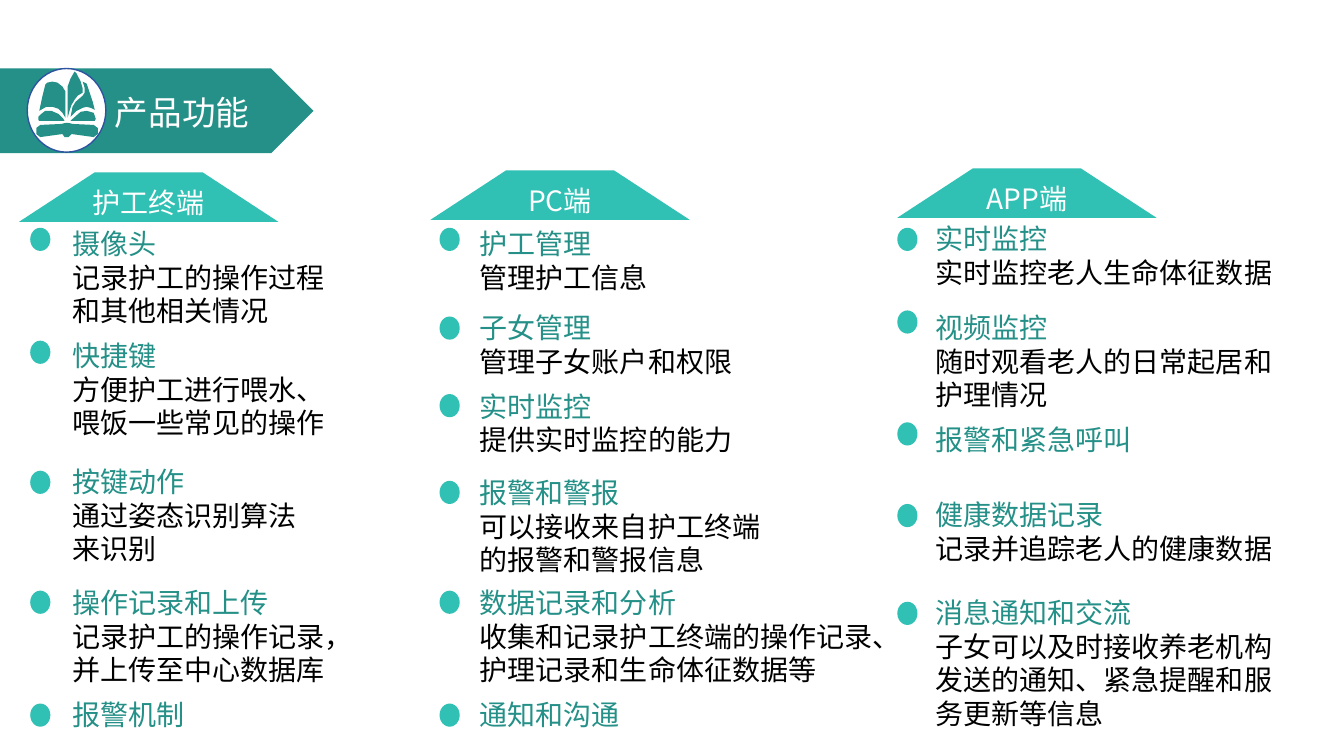
import math

import lxml.etree
import pptx
import pptx.dml.color
import pptx.enum.shapes
import pptx.enum.text
import pptx.oxml.ns
import pptx.util

PX = 9144  # EMU per px, 100 px to the inch
FONT = "Noto Sans CJK JP"
DARK, LIGHT, WHITE, BLACK, BLUE = "249087", "30C0B4", "FFFFFF", "000000", "2E54A1"
SHAPES = pptx.enum.shapes.MSO_SHAPE

FIRST_LINE, NEXT_LINE = 44, 34
ENTRY_WIDTH, LINE_CHARACTERS = 444, 15

# Outlines of the open book, in px
BOOK = [
    # left page, middle leaf, right page
    [(65, 91), (65, 117), (62, 112), (58, 108), (52, 106), (46, 106), (39, 110),
     (42, 96), (45, 84), (47, 82), (52, 81), (57, 82), (62, 86)],
    [(74, 99), (71, 104), (69, 110), (67, 117), (67, 86), (70, 78), (74, 71),
     (76, 73), (80, 81), (82, 88), (82, 92), (77, 95)],
    [(94, 109), (90, 107), (86, 106), (82, 107), (76, 110), (70, 116), (72, 106),
     (75, 101), (82, 95), (84, 92), (84, 87), (82, 81), (86, 83), (92, 101)],
    # lower pages
    [(63, 118), (58, 113), (51, 110), (45, 110), (41, 113), (38, 116), (38, 119),
     (39, 120), (64, 120)],
    [(93, 112), (86, 110), (80, 111), (72, 118), (70, 120), (94, 120), (95, 118)],
    # cover
    [(40, 124), (61, 123), (65, 122), (68, 122), (72, 123), (93, 124), (97, 127),
     (97, 133), (93, 136), (71, 133), (68, 136), (64, 136), (62, 133), (40, 136),
     (36, 133), (36, 127)],
]

# Column: heading, heading left and top, bullet left, text left,
# then entries of bullet top, text top and lines
COLUMNS = [
    ("护工终端", 19, 171, 30, 62, [
        (226, 220, ["摄像头", "记录护工的操作过程", "和其他相关情况"]),
        (338, 331, ["快捷键", "方便护工进行喂水、", "喂饭一些常见的操作"]),
        (467, 456, ["按键动作", "通过姿态识别算法", "来识别"]),
        (586, 576, ["操作记录和上传", "记录护工的操作记录，", "并上传至中心数据库"]),
        (698, 687, ["报警机制"]),
    ]),
    ("PC端", 427, 169, 436, 466, [
        (226, 220, ["护工管理", "管理护工信息"]),
        (314, 303, ["子女管理", "管理子女账户和权限"]),
        (391, 381, ["实时监控", "提供实时监控的能力"]),
        (477, 467, ["报警和警报", "可以接收来自护工终端", "的报警和警报信息"]),
        (586, 576, ["数据记录和分析", "收集和记录护工终端的操作记录、护理记录和生命体征数据等"]),
        (698, 687, ["通知和沟通"]),
    ]),
    ("APP端", 890, 167, 890, 918, [
        (226, 215, ["实时监控", "实时监控老人生命体征数据"]),
        (308, 303, ["视频监控", "随时观看老人的日常起居和", "护理情况"]),
        (419, 414, ["报警和紧急呼叫"]),
        (500, 489, ["健康数据记录", "记录并追踪老人的健康数据"]),
        (597, 586, ["消息通知和交流", "子女可以及时接收养老机构", "发送的通知、紧急提醒和服", "务更新等信息"]),
    ]),
]


def px(*lengths):
    return [pptx.util.Emu(length * PX) for length in lengths]


def rgb(color):
    return pptx.dml.color.RGBColor.from_string(color)


def paint(shape, fill, line=None):
    shape.shadow.inherit = False
    shape.fill.solid()
    shape.fill.fore_color.rgb = rgb(fill)
    if line:
        shape.line.color.rgb = rgb(line)
        shape.line.width = pptx.util.Pt(1)
    else:
        shape.line.fill.background()


def style(paragraph, size, color):
    for span in paragraph.runs:
        span.font.size = pptx.util.Pt(size)
        span.font.color.rgb = rgb(color)
        span.font.name = FONT
        east_asian = lxml.etree.SubElement(span.font._element, pptx.oxml.ns.qn("a:ea"))
        east_asian.set("typeface", FONT)


def add_preset(page, kind, left, top, width, height, fill, line=None):
    shape = page.shapes.add_shape(kind, *px(left, top, width, height))
    paint(shape, fill, line)
    return shape


def add_outline(page, points):
    builder = page.shapes.build_freeform(*points[0], scale=PX)
    builder.add_line_segments(points[1:], close=True)
    paint(builder.convert_to_shape(), DARK)


def add_text(page, left, top, width, height, lines, size, colors):
    box = page.shapes.add_textbox(*px(left, top, width, height))
    frame = box.text_frame
    frame.word_wrap = True
    frame.auto_size = pptx.enum.text.MSO_AUTO_SIZE.SHAPE_TO_FIT_TEXT
    frame.text = "\n".join(lines)
    for index, paragraph in enumerate(frame.paragraphs):
        style(paragraph, size, colors[min(index, len(colors) - 1)])


def add_heading(page, left, top, text):
    shape = add_preset(page, SHAPES.TRAPEZOID, left, top, 257, 49, LIGHT)
    shape.adjustments[0] = 1.53
    frame = shape.text_frame
    frame.vertical_anchor = pptx.enum.text.MSO_ANCHOR.MIDDLE
    frame.text = text
    frame.paragraphs[0].alignment = pptx.enum.text.PP_ALIGN.CENTER
    style(frame.paragraphs[0], 20, WHITE)


def add_entry(page, bullet_left, bullet_top, left, top, lines):
    add_preset(page, SHAPES.OVAL, bullet_left, bullet_top, 20, 23, LIGHT)
    rows = sum(math.ceil(len(line) / LINE_CHARACTERS) for line in lines)
    height = FIRST_LINE + NEXT_LINE * (rows - 1)
    add_text(page, left, top, ENTRY_WIDTH, height, lines, 20, [DARK, BLACK])


def main():
    deck = pptx.Presentation()
    deck.slide_width, deck.slide_height = px(1333, 750)
    page = deck.slides.add_slide(deck.slide_layouts[6])

    # Title banner with the book badge
    add_preset(page, SHAPES.PENTAGON, 0, 68, 311, 84, DARK)
    add_preset(page, SHAPES.OVAL, 27, 68, 78, 83, WHITE, BLUE)
    for points in BOOK:
        add_outline(page, points)
    add_text(page, 104, 86, 171, 50, ["产品功能"], 24, [WHITE])

    # Three columns of functions
    for heading, left, top, bullet_left, text_left, entries in COLUMNS:
        add_heading(page, left, top, heading)
        for bullet_top, text_top, lines in entries:
            add_entry(page, bullet_left, bullet_top, text_left, text_top, lines)

    deck.save("out.pptx")


if __name__ == "__main__":
    main()
